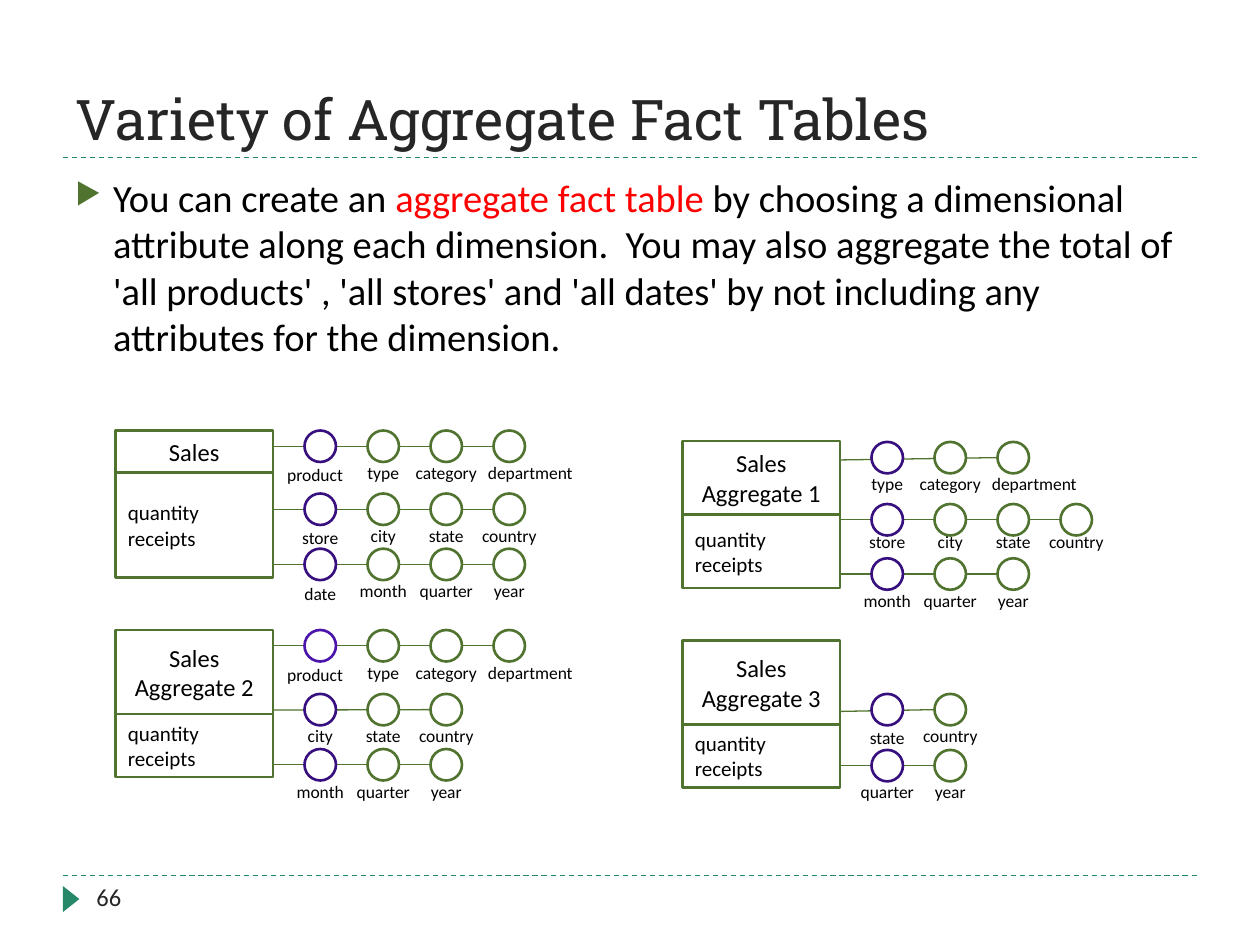
from dataclasses import dataclass
from typing import Any, NamedTuple

from lxml import etree
from pptx import Presentation
from pptx.dml.color import RGBColor
from pptx.enum import dml, shapes, text
from pptx.oxml import ns
from pptx.util import Pt


@dataclass(frozen=True)
class Theme:
    heading_font: str = "Roboto Slab"
    body_font: str = "Calibri"
    title_size: float = 32
    body_size: float = 22
    heading_size: float = 14
    measure_size: float = 12
    label_size: float = 10
    title: str = "262626"
    ink: str = "000000"
    emphasis: str = "FF0000"
    accent: str = "268868"
    green: str = "50742F"
    purple: str = "370F7E"
    bright_purple: str = "4B14AA"
    paper: str = "FFFFFF"


class Chain(NamedTuple):
    """One dimension: a row of linked attributes."""
    top: float
    line_inset: float
    attributes: str
    line_drop: float = 0
    label_drop: float = 14.5
    lead_drop: float = 0
    lead_color: str = Theme.purple


class FactTable(NamedTuple):
    name: str
    left: float
    top: float
    heading_height: float
    measure_height: float
    chains: tuple[Chain, ...]


THEME = Theme()
TABLE_WIDTH, FIRST_CIRCLE, PITCH, DIAMETER = 90, 108, 36, 18
LABEL_WIDTHS = {"store": 42, "date": 42, "product": 48, "country": 54, "year": 54}
LABEL_SHIFTS = {"product": -3, "department": 12}
CENTER = text.PP_ALIGN.CENTER
MIDDLE = text.MSO_ANCHOR.MIDDLE
SHAPE = shapes.MSO_SHAPE

FACT_TABLES = (
    FactTable("Sales", 66, 246, 24, 60, (
        Chain(246, 25, "product type category department", lead_drop=1.4),
        Chain(282, 25, "store city state country", lead_drop=1.4),
        Chain(313.5, 25, "date month quarter year", lead_drop=1.4))),
    FactTable("Sales Aggregate 2", 66, 360, 48, 36, (
        Chain(360, 25, "product type category department", lead_drop=1.4,
              lead_color=THEME.bright_purple),
        Chain(396.5, 12, "city state country", line_drop=0.5),
        Chain(428, 45, "month quarter year"))),
    FactTable("Sales Aggregate 1", 390, 252, 42, 42, (
        Chain(252.5, 11.5, "type category department", line_drop=2.5),
        Chain(288, 26, "store city state country", label_drop=12.2),
        Chain(319, 45, "month quarter year"))),
    FactTable("Sales Aggregate 3", 390, 366, 48, 36, (
        Chain(396.5, 65.5, "state country", line_drop=1.5, lead_drop=1),
        Chain(428.5, 9.5, "quarter year"))),
)


def set_all(target: Any, values: dict[str, Any]) -> None:
    for name, value in values.items():
        setattr(target, name, value)


def add_run(paragraph: Any, words: str, size: float, color: str,
            font: str = THEME.body_font) -> None:
    run = paragraph.add_run()
    run.text = words
    set_all(run.font, {"name": font, "size": Pt(size)})
    run.font.color.rgb = RGBColor.from_string(color)


def add_box(slide: Any, left: float, top: float, width: float, height: float,
            **frame: Any) -> Any:
    box = slide.shapes.add_textbox(Pt(left), Pt(top), Pt(width), Pt(height))
    set_all(box.text_frame, {"word_wrap": True, **frame})
    return box.text_frame.paragraphs[0]


def add_preset(slide: Any, kind: Any, left: float, top: float, width: float,
               height: float, fill: str, line: str | None = None) -> Any:
    shape = slide.shapes.add_shape(kind, Pt(left), Pt(top), Pt(width), Pt(height))
    shape.shadow.inherit = False
    shape.fill.solid()
    shape.fill.fore_color.rgb = RGBColor.from_string(fill)
    if line:
        shape.line.color.rgb = RGBColor.from_string(line)
        shape.line.width = Pt(1.5)
    else:
        shape.line.fill.background()
    return shape


def add_line(slide: Any, x1: float, y1: float, x2: float, y2: float,
             color: str, dashed: bool = False) -> None:
    line = slide.shapes.add_connector(
        shapes.MSO_CONNECTOR.STRAIGHT, Pt(x1), Pt(y1), Pt(x2), Pt(y2))
    line.line.color.rgb = RGBColor.from_string(color)
    line.line.width = Pt(0.75)
    if dashed:
        line.line.dash_style = dml.MSO_LINE.DASH
    etree.SubElement(line._element.spPr, ns.qn("a:effectLst"))


def add_bullet(paragraph: Any, symbol: str, color: str, percent: int, indent: float) -> None:
    properties = paragraph._p.get_or_add_pPr()
    properties.set("marL", str(Pt(indent)))
    properties.set("indent", str(-Pt(indent)))
    bullet_color = etree.SubElement(properties, ns.qn("a:buClr"))
    etree.SubElement(bullet_color, ns.qn("a:srgbClr"), val=color)
    etree.SubElement(properties, ns.qn("a:buSzPct"), val=str(percent * 1000))
    etree.SubElement(properties, ns.qn("a:buChar"), char=symbol)


def draw_chain(slide: Any, table_left: float, chain: Chain) -> None:
    attributes = chain.attributes.split()
    lefts = [table_left + FIRST_CIRCLE + PITCH * i for i in range(len(attributes))]
    middle = chain.top + DIAMETER / 2
    add_line(slide, table_left + chain.line_inset, middle + chain.line_drop,
             lefts[-1], middle, THEME.green)
    for i, (left, attribute) in enumerate(zip(lefts, attributes)):
        width = LABEL_WIDTHS.get(attribute, 66)
        center = left + DIAMETER / 2 + LABEL_SHIFTS.get(attribute, 0)
        drop = chain.label_drop + (0 if i else chain.lead_drop)
        label = add_box(slide, center - width / 2, chain.top + drop, width, 19.4,
                        auto_size=text.MSO_AUTO_SIZE.SHAPE_TO_FIT_TEXT)
        label.alignment = CENTER
        add_run(label, attribute, THEME.label_size, THEME.ink)
    for i, left in enumerate(lefts):
        add_preset(slide, SHAPE.OVAL, left, chain.top, DIAMETER, DIAMETER,
                   THEME.paper, THEME.green if i else chain.lead_color)


def draw_fact_table(slide: Any, table: FactTable) -> None:
    for chain in table.chains:
        draw_chain(slide, table.left, chain)
    sections = (
        (table.top + table.heading_height, table.measure_height,
         ("quantity", "receipts"), THEME.measure_size, text.PP_ALIGN.LEFT),
        (table.top, table.heading_height, (table.name,), THEME.heading_size, CENTER),
    )
    for top, height, lines, size, alignment in sections:
        shape = add_preset(slide, SHAPE.RECTANGLE, table.left, top, TABLE_WIDTH,
                           height, THEME.paper, THEME.green)
        frame = shape.text_frame
        set_all(frame, {"word_wrap": True, "vertical_anchor": MIDDLE})
        for i, words in enumerate(lines):
            paragraph = frame.add_paragraph() if i else frame.paragraphs[0]
            paragraph.alignment = alignment
            add_run(paragraph, words, size, THEME.ink)


def main() -> None:
    presentation = Presentation()
    set_all(presentation, {"slide_width": Pt(720), "slide_height": Pt(540)})
    slide = presentation.slides.add_slide(presentation.slide_layouts[6])

    # Rules and page marker
    for y in (500.4, 90):
        add_line(slide, 36, y, 684, y, THEME.accent, dashed=True)
    marker = add_preset(slide, SHAPE.ISOSCELES_TRIANGLE, 33.1, 509, 15, 9.5, THEME.accent)
    marker.rotation = 90

    # Title, page number and explanation
    title = add_box(slide, 36, 12, 648, 78, vertical_anchor=text.MSO_ANCHOR.BOTTOM)
    add_run(title, "Variety of Aggregate Fact Tables", THEME.title_size,
            THEME.title, THEME.heading_font)
    number = add_box(slide, 48, 500.4, 156, 28.8)
    add_run(number, "66", THEME.heading_size, THEME.title)
    explanation = add_box(slide, 36, 96, 648, 102)
    add_bullet(explanation, "▶", THEME.green, 76, 21.6)
    for words, color in (
        ("You can create an ", THEME.ink),
        ("aggregate fact table ", THEME.emphasis),
        ("by choosing a dimensional attribute along each dimension.  You may also "
         "aggregate the total of 'all products' , 'all stores' and 'all dates' by "
         "not including any attributes for the dimension.", THEME.ink),
    ):
        add_run(explanation, words, THEME.body_size, color)

    # Fact tables with their dimensions
    for table in FACT_TABLES:
        draw_fact_table(slide, table)

    presentation.save("out.pptx")


if __name__ == "__main__":
    main()
